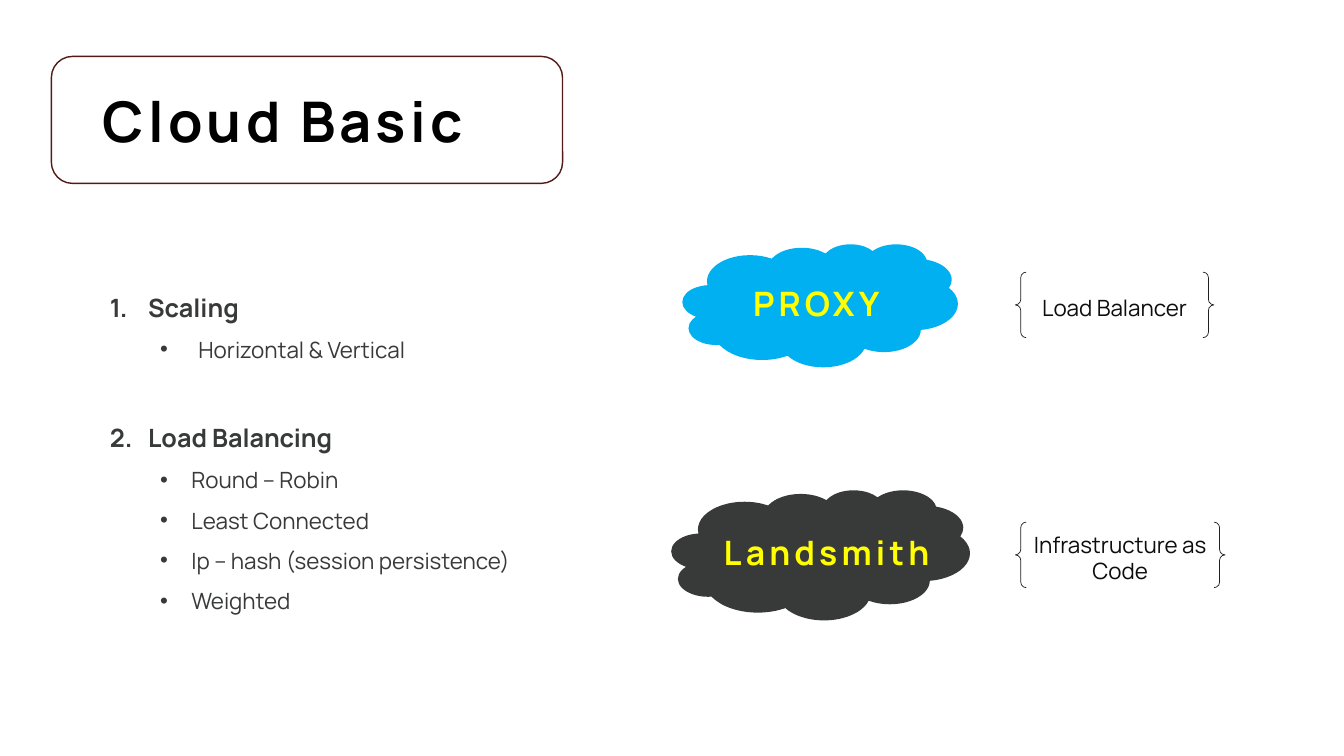
from lxml.etree import SubElement
from pptx import Presentation
from pptx.dml.color import RGBColor
from pptx.enum.shapes import MSO_SHAPE
from pptx.enum.text import MSO_ANCHOR, MSO_AUTO_SIZE, PP_ALIGN
from pptx.oxml.ns import qn
from pptx.util import Inches, Pt

HUES = {
    "black": "000000", "body": "383A39", "label": "0D0D0D",
    "yellow": "FFFF00", "blue": "00B0F0", "brace": "202020", "frame": "531917",
}
TOPICS = [
    ("Scaling", 0.88, 0.38, ["Horizontal & Vertical"]),
    ("Load Balancing", 0.81, 0.31, [
        "Round – Robin", "Least Connected",
        "Ip – hash (session persistence)", "Weighted",
    ]),
]
TOOLS = [
    ("Landsmith", "body", (6.66, 4.86, 2.96, 1.29), (7.08, 4.94, 2.36, 1.12),
     "Infrastructure as Code", (10.07, 5.18, 2.08, 0.65)),
    ("PROXY", "blue", (6.77, 2.42, 2.73, 1.22), (7.37, 2.52, 1.52, 1.03),
     "Load Balancer", (10.07, 2.7, 1.97, 0.65)),
]
HEAD = {"bold": True, "track": 3, "lead": 0.9}


def tint(name):
    return RGBColor.from_string(HUES[name])


def write(para, text, size=16, hue="body", bold=False, track=0, lead=None,
          align=PP_ALIGN.LEFT, before=0):
    para.alignment = align
    para.line_spacing = lead
    para.space_before = Pt(before)
    run = para.add_run()
    run.text = text
    font = run.font
    font.name = "Manrope"
    font.size = Pt(size)
    font.bold = bold
    font.color.rgb = tint(hue)
    if track:
        run._r.get_or_add_rPr().set("spc", str(track * 100))


def mark(para, left, hang, tag, **attrs):
    props = para._p.get_or_add_pPr()
    props.set("marL", str(Inches(left)))
    props.set("indent", str(-Inches(hang)))
    if tag == "buChar":
        SubElement(props, qn("a:buFont"), typeface="Arial")
    SubElement(props, qn("a:" + tag), **attrs)


class Deck:
    def __init__(self):
        self.file = Presentation()
        self.file.slide_width = Inches(13.33)
        self.file.slide_height = Inches(7.5)
        self.slide = self.file.slides.add_slide(self.file.slide_layouts[5])

    def frame(self, shape, anchor=MSO_ANCHOR.MIDDLE):
        frame = shape.text_frame
        frame.word_wrap = True
        frame.auto_size = MSO_AUTO_SIZE.NONE
        frame.vertical_anchor = anchor
        return frame

    def title(self, text, box):
        shape = self.slide.shapes.title
        shape.left, shape.top, shape.width, shape.height = map(Inches, box)
        para = self.frame(shape).paragraphs[0]
        write(para, text, size=40, hue="black", **HEAD)

    def text(self, box, anchor=MSO_ANCHOR.MIDDLE):
        shape = self.slide.shapes.add_textbox(*map(Inches, box))
        return self.frame(shape, anchor)

    def shape(self, kind, box, fill=None, line=None, width=1):
        shape = self.slide.shapes.add_shape(kind, *map(Inches, box))
        shape.shadow.inherit = False
        if fill:
            shape.fill.solid()
            shape.fill.fore_color.rgb = tint(fill)
        else:
            shape.fill.background()
        if line:
            shape.line.color.rgb = tint(line)
            shape.line.width = Pt(width)
        else:
            shape.line.fill.background()
        return shape

    def topics(self, box):
        frame = self.text(box, MSO_ANCHOR.TOP)
        for order, (head, left, hang, items) in enumerate(TOPICS):
            para = frame.add_paragraph() if order else frame.paragraphs[0]
            write(para, head, size=18, bold=True, lead=1.5, before=32 * order)
            mark(para, 0.38, 0.38, "buAutoNum", type="arabicPeriod")
            for item in items:
                para = frame.add_paragraph()
                para.level = 1
                write(para, item, lead=1.5)
                mark(para, left, hang, "buChar", char="•")

    def tool(self, name, fill, cloud, box, use, brace):
        self.shape(MSO_SHAPE.CLOUD, cloud, fill=fill)
        write(self.text(box).paragraphs[0], name, size=24, hue="yellow",
              **HEAD)
        pair = self.shape(MSO_SHAPE.DOUBLE_BRACE, brace, line="brace", width=0.5)
        write(self.frame(pair).paragraphs[0], use, hue="label",
              align=PP_ALIGN.CENTER)


def main():
    deck = Deck()
    deck.shape(MSO_SHAPE.FLOWCHART_ALTERNATE_PROCESS,
               (0.51, 0.56, 5.07, 1.26), line="frame")
    deck.title("Cloud Basic", (0.92, 0.61, 11.5, 1.24))
    deck.topics((0.99, 2.7, 4.59, 3.45))
    for tool in TOOLS:
        deck.tool(*tool)
    deck.file.save("out.pptx")


if __name__ == "__main__":
    main()
